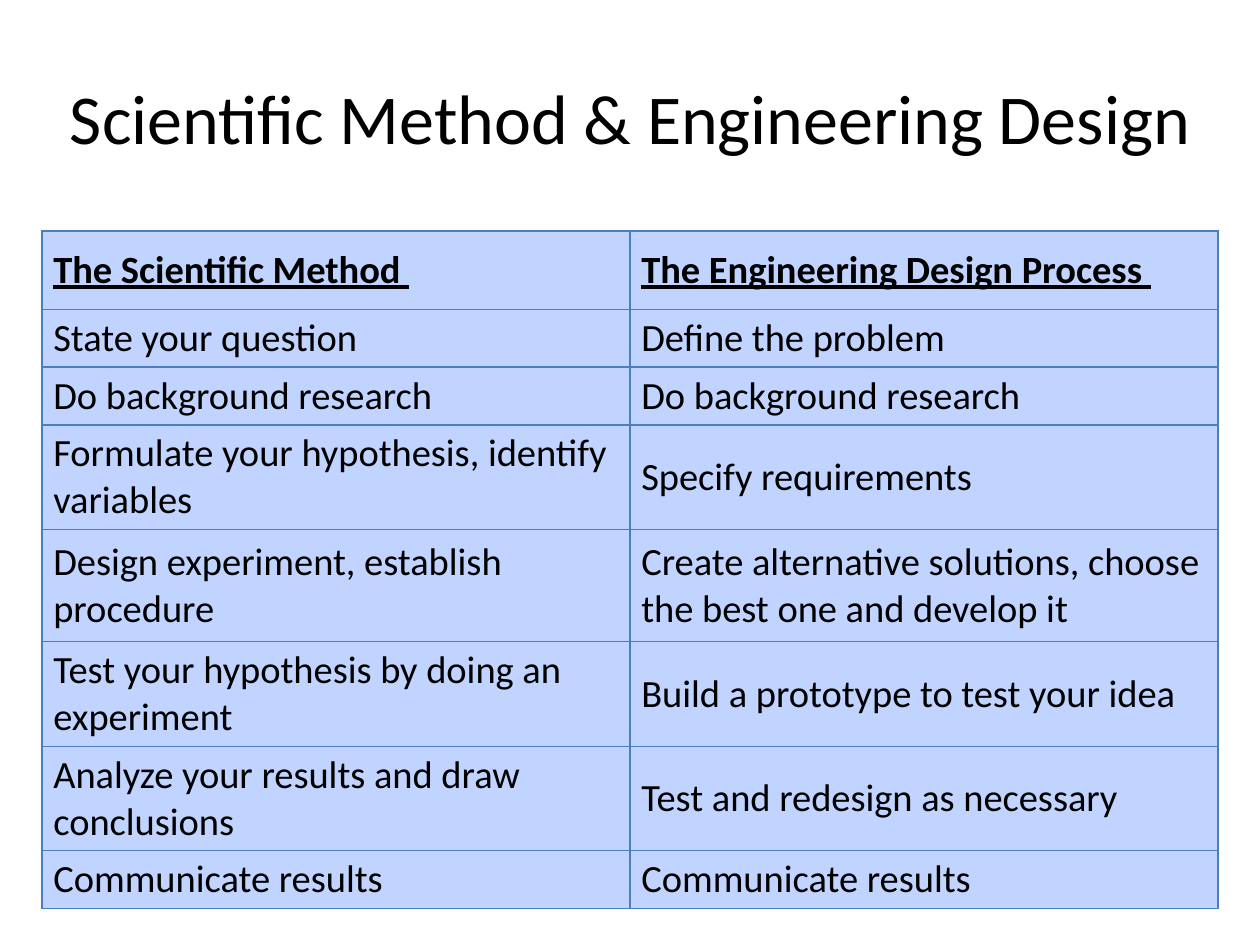
from dataclasses import dataclass
from typing import Any

from lxml import etree
from pptx import Presentation, util as u
from pptx.dml.color import RGBColor
from pptx.enum import text
from pptx.oxml import ns

COLORS = {"ink": "000000", "cell": "C0D4FF", "border": "4B7EBC"}
STEPS = [
    ("The Scientific Method ", "The Engineering Design Process "),
    ("State your question", "Define the problem"),
    ("Do background research", "Do background research"),
    ("Formulate your hypothesis, identify variables", "Specify requirements"),
    ("Design experiment, establish procedure",
     "Create alternative solutions, choose the best one and develop it"),
    ("Test your hypothesis by doing an experiment", "Build a prototype to test your idea"),
    ("Analyze your results and draw conclusions", "Test and redesign as necessary"),
    ("Communicate results", "Communicate results"),
]
HEADING, SINGLE, DOUBLE, TALL = 0.62, 0.46, 0.83, 0.89
ROW_HEIGHTS = [HEADING, SINGLE, SINGLE, DOUBLE, TALL, DOUBLE, DOUBLE, SINGLE]


@dataclass
class Deck:
    """Holds the style and the current slide, placed on a grid of third-inch units."""
    slide: Any
    font: str = "Calibri"
    unit: int = u.Inches(10) // 30

    def box(self, *units):
        return [round(n * self.unit) for n in units]

    def style(self, paragraph, size, heading=False):
        font = paragraph.font
        font.name, font.size = self.font, u.Pt(size)
        font.bold = font.underline = heading
        font.color.rgb = RGBColor.from_string(COLORS["ink"])

    def title(self, wording, *units):
        frame = self.slide.shapes.add_textbox(*self.box(*units)).text_frame
        frame.word_wrap = True
        frame.vertical_anchor = text.MSO_ANCHOR.MIDDLE
        heading = frame.paragraphs[0]
        heading.text = wording
        heading.alignment = text.PP_ALIGN.CENTER
        self.style(heading, 40)

    def borders(self, cell):
        properties = cell._tc.get_or_add_tcPr()
        for side in ("a:lnL", "a:lnR", "a:lnT", "a:lnB"):
            line = etree.SubElement(properties, ns.qn(side), w=str(u.Pt(0.75)))
            fill = etree.SubElement(line, ns.qn("a:solidFill"))
            etree.SubElement(fill, ns.qn("a:srgbClr"), val=COLORS["border"])

    def table(self, rows, heights, left, top, width):
        area = self.box(left, top, width) + [u.Inches(sum(heights))]
        grid = self.slide.shapes.add_table(len(rows), len(rows[0]), *area).table
        grid.horz_banding = False
        for index, (wordings, height) in enumerate(zip(rows, heights)):
            grid.rows[index].height = u.Inches(height)
            for cell, wording in zip(grid.rows[index].cells, wordings):
                self.borders(cell)
                cell.fill.solid()
                cell.fill.fore_color.rgb = RGBColor.from_string(COLORS["cell"])
                cell.vertical_anchor = text.MSO_ANCHOR.MIDDLE
                cell.margin_left = cell.margin_right = u.Inches(0.09)
                cell.margin_top = cell.margin_bottom = u.Inches(0.04)
                cell.text = wording
                self.style(cell.text_frame.paragraphs[0], 22, heading=index == 0)


def main():
    presentation = Presentation()
    presentation.slide_width, presentation.slide_height = u.Inches(10), u.Inches(7.5)
    deck = Deck(presentation.slides.add_slide(presentation.slide_layouts[6]))
    deck.title("Scientific Method & Engineering Design", 1, 0.9, 28, 3.75)
    deck.table(STEPS, ROW_HEIGHTS, 1, 5.5, 28)
    presentation.save("out.pptx")


if __name__ == "__main__":
    main()
